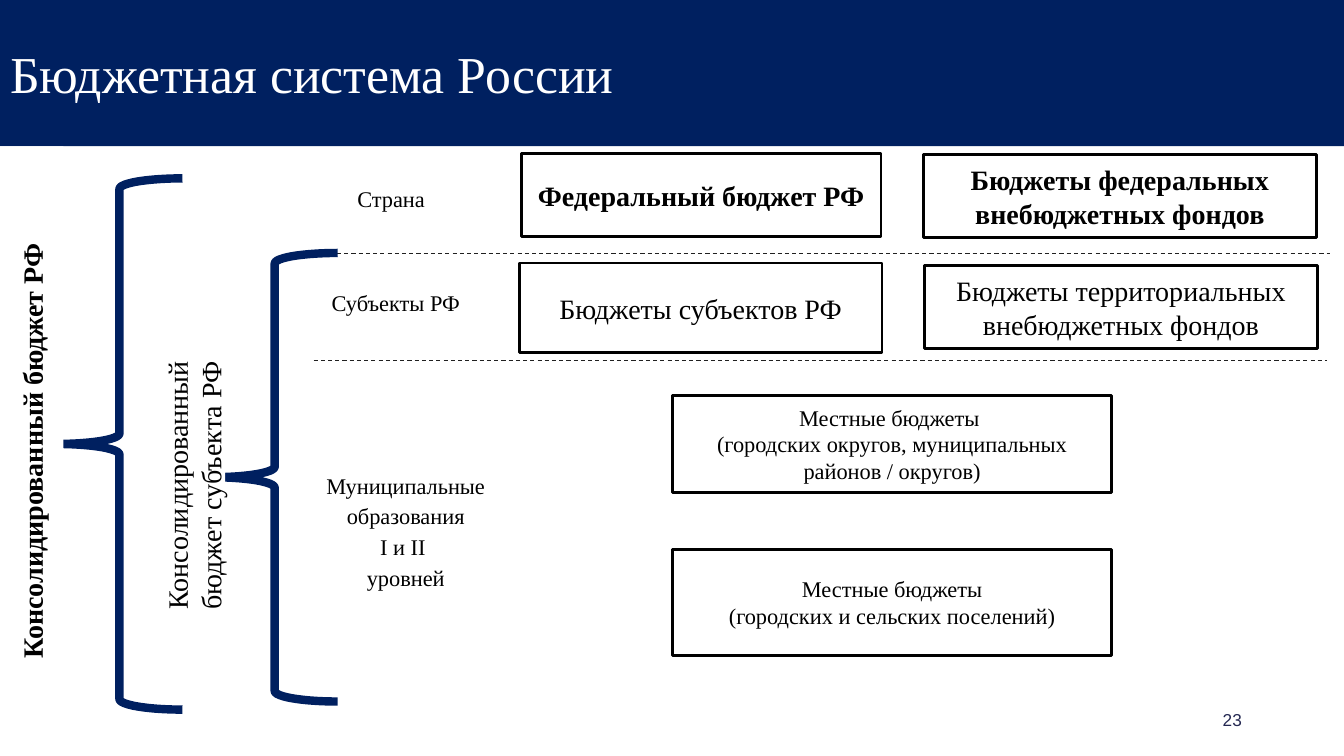
from typing import NamedTuple

from lxml import etree
from pptx import Presentation
from pptx.dml.color import RGBColor
from pptx.enum.dml import MSO_LINE
from pptx.enum.shapes import MSO_CONNECTOR, MSO_SHAPE
from pptx.enum.text import MSO_ANCHOR, MSO_AUTO_SIZE, PP_ALIGN
from pptx.oxml.ns import qn
from pptx.util import Inches, Pt

LEFT, CENTER, RIGHT = PP_ALIGN.LEFT, PP_ALIGN.CENTER, PP_ALIGN.RIGHT
TOP, MIDDLE = MSO_ANCHOR.TOP, MSO_ANCHOR.MIDDLE
RECTANGLE, BRACE = MSO_SHAPE.RECTANGLE, MSO_SHAPE.LEFT_BRACE
STRAIGHT, DASH = MSO_CONNECTOR.STRAIGHT, MSO_LINE.DASH
NO_AUTOFIT = MSO_AUTO_SIZE.NONE
TITLE_ONLY = 5


class Theme(NamedTuple):
    navy: RGBColor = RGBColor.from_string("002060")
    white: RGBColor = RGBColor.from_string("FFFFFF")
    black: RGBColor = RGBColor.from_string("000000")
    divider: RGBColor = RGBColor.from_string("202020")
    number: RGBColor = RGBColor.from_string("242852")
    serif: str = "Times New Roman"
    sans: str = "Arial"
    title: float = 37
    large: float = 20
    small: float = 16
    page_number: float = 12.3


THEME = Theme()


class Area(NamedTuple):
    """Left, top, width and height as percentages of the slide."""
    left: float
    top: float
    width: float
    height: float


class Budget(NamedTuple):
    text: str
    area: Area
    size: float = THEME.large
    bold: bool = False


class Level(NamedTuple):
    paragraphs: list[str]
    area: Area
    align: PP_ALIGN = CENTER


class Divider(NamedTuple):
    start: float
    end: float
    height: float


class Consolidated(NamedTuple):
    text: str
    brace: Area
    caption: Area
    bold: bool = False


BUDGETS = [
    Budget("Федеральный бюджет РФ", Area(38.78, 20.27, 26.78, 11.07), bold=True),
    Budget("Бюджеты субъектов РФ", Area(38.63, 34.8, 27, 11.87)),
    Budget("Местные бюджеты \n(городских округов, муниципальных районов / округов)",
           Area(50.03, 52.27, 32.7, 12.93), THEME.small),
    Budget("Местные бюджеты\n(городских и сельских поселений)",
           Area(50.03, 72.67, 32.7, 14), THEME.small),
    Budget("Бюджеты федеральных внебюджетных фондов",
           Area(68.7, 20.4, 29.25, 11.07), bold=True),
    Budget("Бюджеты территориальных внебюджетных фондов",
           Area(68.78, 35.07, 29.25, 11.07)),
]
LEVELS = [
    Level(["Страна"], Area(21.15, 22.27, 14.4, 9.47)),
    Level(["Субъекты РФ"], Area(22.2, 36, 14.4, 9.47), LEFT),
    Level(["Муниципальные образования", "I и II \nуровней"],
          Area(21.15, 60.13, 16.58, 20.53)),
]
DIVIDERS = [Divider(24, 98.93, 33.47), Divider(23.33, 98.7, 47.73)]
CONSOLIDATED = [
    Consolidated("Консолидированный бюджет РФ", Area(4.2, 23.6, 9.38, 70.27),
                 Area(-20.33, 55.47, 45.38, 8.4), bold=True),
    Consolidated("Консолидированный бюджет субъекта РФ", Area(15.75, 33.47, 9.38, 59.33),
                 Area(2.55, 60, 23.7, 8.4)),
]

deck = Presentation()
deck.slide_width, deck.slide_height = Inches(13.33), Inches(7.5)
page = deck.slides.add_slide(deck.slide_layouts[TITLE_ONLY])


def across(share: float) -> int:
    return int(deck.slide_width * share / 100)


def down(share: float) -> int:
    return int(deck.slide_height * share / 100)


def place(area: Area) -> tuple[int, int, int, int]:
    return across(area.left), down(area.top), across(area.width), down(area.height)


def write(box, *paragraphs: str, size: float = THEME.large, font: str = THEME.serif,
          color: RGBColor = THEME.black, bold: bool = False, align: PP_ALIGN = CENTER,
          anchor: MSO_ANCHOR = MIDDLE, side: float = 0.13, edge: float = 0.07,
          spacing: float = 1, indent: float = 0) -> None:
    frame = box.text_frame
    frame.word_wrap, frame.auto_size = True, NO_AUTOFIT
    frame.vertical_anchor = anchor
    frame.margin_left = frame.margin_right = Inches(side)
    frame.margin_top = frame.margin_bottom = Inches(edge)
    for index, text in enumerate(paragraphs):
        para = frame.add_paragraph() if index else frame.paragraphs[0]
        para.text = text
        para.alignment, para.line_spacing = align, spacing
        if indent:
            properties = para._p.get_or_add_pPr()
            properties.set("marL", str(Inches(indent)))
            properties.set("indent", "0")
        for span in para.runs:
            span.font.name, span.font.size = font, Pt(size)
            span.font.color.rgb, span.font.bold = color, bold


def add_rectangle(area: Area, outlined: bool):
    box = page.shapes.add_shape(RECTANGLE, *place(area))
    box.shadow.inherit = False
    box.fill.solid()
    box.fill.fore_color.rgb = THEME.white
    if outlined:
        box.line.color.rgb, box.line.width = THEME.black, Pt(2)
    else:
        box.line.fill.background()
    return box


def add_budget(budget: Budget) -> None:
    box = add_rectangle(budget.area, outlined=True)
    write(box, budget.text, size=budget.size, bold=budget.bold)


def add_level(level: Level) -> None:
    box = page.shapes.add_textbox(*place(level.area))
    write(box, *level.paragraphs, size=THEME.small, align=level.align, anchor=TOP,
          edge=0.13, spacing=1.15, indent=0.2)


def add_divider(divider: Divider) -> None:
    height = down(divider.height)
    line = page.shapes.add_connector(
        STRAIGHT, across(divider.start), height, across(divider.end), height)
    line.line.color.rgb, line.line.width = THEME.divider, Pt(0.75)
    line.line.dash_style = DASH
    etree.SubElement(line._element.spPr, qn("a:effectLst"))


def add_consolidated(group: Consolidated) -> None:
    brace = page.shapes.add_shape(BRACE, *place(group.brace))
    brace.shadow.inherit = False
    brace.fill.background()
    brace.line.color.rgb, brace.line.width = THEME.navy, Pt(6)
    caption = add_rectangle(group.caption, outlined=False)
    caption.rotation = 270
    write(caption, group.text, bold=group.bold)


# Title band
title = page.shapes.title
title.left, title.top, title.width, title.height = place(Area(0, 0, 100, 19.33))
title.fill.solid()
title.fill.fore_color.rgb = THEME.navy
write(title, "Бюджетная система России", size=THEME.title, color=THEME.white,
      align=LEFT, side=0.1, edge=0.1)

# Levels of government and their budgets
for level in LEVELS:
    add_level(level)
for budget in BUDGETS:
    add_budget(budget)
for divider in DIVIDERS:
    add_divider(divider)

# Braces with vertical captions
for group in CONSOLIDATED:
    add_consolidated(group)

# Page number
number = page.shapes.add_textbox(*place(Area(70.65, 92.67, 22.5, 5.33)))
write(number, "23", size=THEME.page_number, font=THEME.sans, color=THEME.number,
      align=RIGHT, side=0.1, edge=0.1, spacing=0.9)

deck.save("out.pptx")
